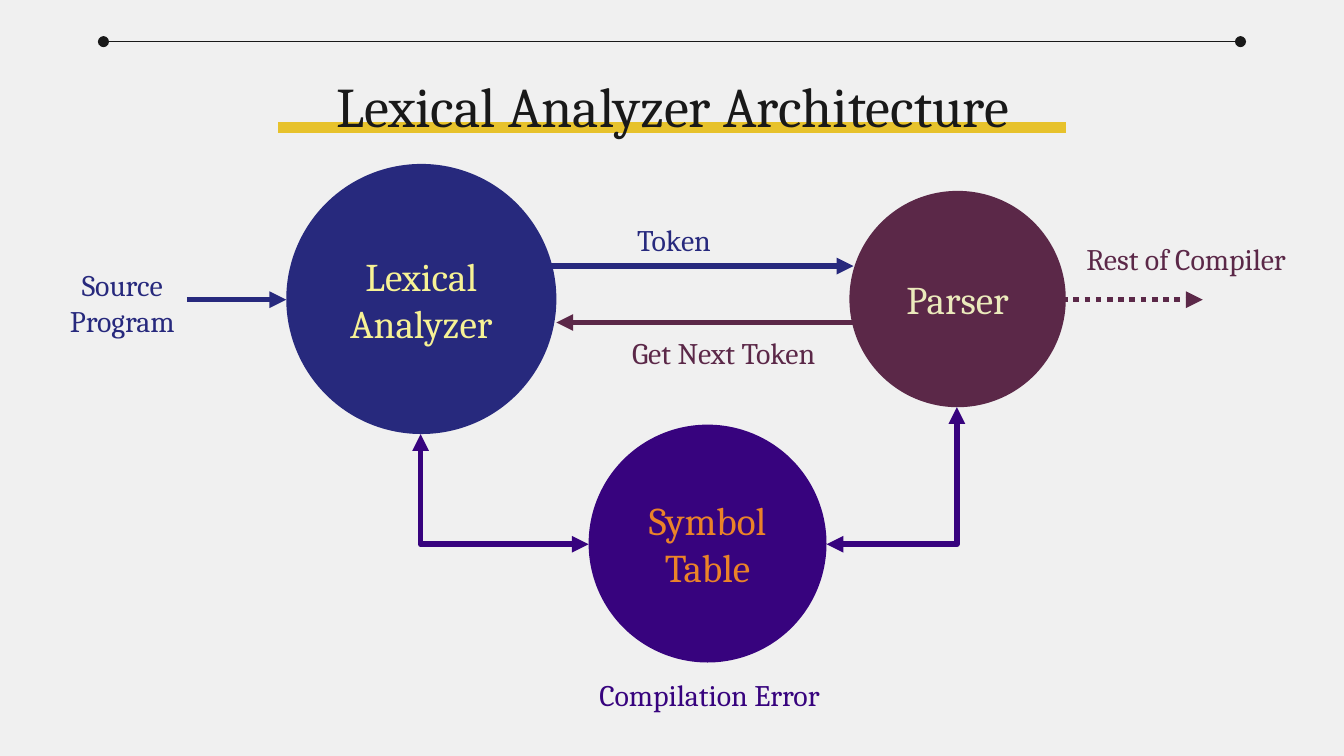
from pptx import Presentation
from pptx.dml.color import RGBColor
from pptx.enum.dml import MSO_LINE
from pptx.enum.shapes import MSO_CONNECTOR, MSO_SHAPE
from pptx.enum.text import MSO_ANCHOR, PP_ALIGN
from pptx.oxml.ns import qn
from pptx.util import Inches, Pt
from lxml.etree import SubElement

THEME = {
    "font": "Cambria",
    "title": 30, "node": 21, "label": 16,
    "background": "F0F0F0", "ink": "191919", "gold": "E7C22C",
    "lexer": "27297D", "parser": "5B2848", "symbols": "37037E",
    "lexer_text": "F7F295", "parser_text": "EBEABC", "symbols_text": "EB8328",
}


def write(sp, text, size, color, anchor):
    """Fill a shape with centred text, one paragraph per line."""
    tf = sp.text_frame
    tf.word_wrap = True
    tf.vertical_anchor = anchor
    tf.margin_left = tf.margin_right = Inches(0.1)
    tf.margin_top = tf.margin_bottom = Inches(0.1)
    for i, line in enumerate(text.split("\n")):
        p = tf.add_paragraph() if i else tf.paragraphs[0]
        p.text = line
        p.alignment = PP_ALIGN.CENTER
        p.font.name = THEME["font"]
        p.font.size = Pt(THEME[size])
        p.font.color.rgb = RGBColor.from_string(THEME[color])


def connect(start, end, color, width=3, head=None, tail=None, bent=False, dash=None):
    """Draw a straight or one-corner connector with optional line ends."""
    kind = MSO_CONNECTOR.ELBOW if bent else MSO_CONNECTOR.STRAIGHT
    c = s.shapes.add_connector(kind, *map(Inches, start + end))
    c.line.color.rgb = RGBColor.from_string(THEME[color])
    c.line.width = Pt(width)
    if dash:
        c.line.dash_style = dash
    props = c._element.spPr
    if bent:
        props.find(qn("a:prstGeom")).set("prst", "bentConnector2")
    for tag, end_type in (("a:headEnd", head), ("a:tailEnd", tail)):
        if end_type:
            SubElement(props.find(qn("a:ln")), qn(tag), type=end_type)
    SubElement(props, qn("a:effectLst"))


prs = Presentation()
prs.slide_width = Inches(10)
prs.slide_height = prs.slide_width * 9 // 16
s = prs.slides.add_slide(prs.slide_layouts[6])
s.background.fill.solid()
s.background.fill.fore_color.rgb = RGBColor.from_string(THEME["background"])

# Heading
connect((2.07, 0.95), (7.93, 0.95), "gold", width=6)
title = s.shapes.add_textbox(*map(Inches, (0.79, 0.43, 8.43, 0.65)))
write(title, "Lexical Analyzer Architecture", "title", "ink", MSO_ANCHOR.TOP)
connect((0.77, 0.31), (9.23, 0.31), "ink", width=0.75, head="oval", tail="oval")

# Components: text, left, top, diameter, colour
nodes = [
    ("Lexical\nAnalyzer", 2.13, 1.22, 2.01, "lexer"),
    ("Parser", 6.32, 1.42, 1.61, "parser"),
    ("Symbol\nTable", 4.38, 3.16, 1.77, "symbols"),
]
for text, left, top, size, color in nodes:
    sp = s.shapes.add_shape(MSO_SHAPE.OVAL, *map(Inches, (left, top, size, size)))
    sp.shadow.inherit = False
    sp.fill.solid()
    sp.fill.fore_color.rgb = RGBColor.from_string(THEME[color])
    sp.line.fill.background()
    write(sp, text, "node", color + "_text", MSO_ANCHOR.MIDDLE)

# Flows between components
flows = [
    ((4.04, 1.98), (6.35, 1.98), "lexer", {}),
    ((6.43, 2.4), (4.14, 2.4), "parser", {}),
    ((4.38, 4.05), (3.13, 3.23), "symbols", {"head": "triangle", "bent": True}),
    ((6.15, 4.05), (7.12, 3.03), "symbols", {"head": "triangle", "bent": True}),
    ((1.39, 2.23), (2.13, 2.23), "lexer", {}),
    ((7.82, 2.23), (8.95, 2.23), "parser", {"dash": MSO_LINE.ROUND_DOT}),
]
for start, end, color, options in flows:
    connect(start, end, color, tail="triangle", **options)

# Labels: text, left, top, width, height, colour
labels = [
    ("Source\nProgram", 0.3, 1.98, 1.22, 0.64, "lexer"),
    ("Compilation Error", 4.2, 5, 2.16, 0.4, "symbols"),
    ("Token", 4.54, 1.66, 0.95, 0.36, "lexer"),
    ("Get Next Token", 4.38, 2.5, 2.01, 0.36, "parser"),
    ("Rest of Compiler", 7.82, 1.8, 2.01, 0.36, "parser"),
]
for text, *box, color in labels:
    label = s.shapes.add_textbox(*map(Inches, box))
    write(label, text, "label", color, MSO_ANCHOR.BOTTOM)

prs.save("out.pptx")
